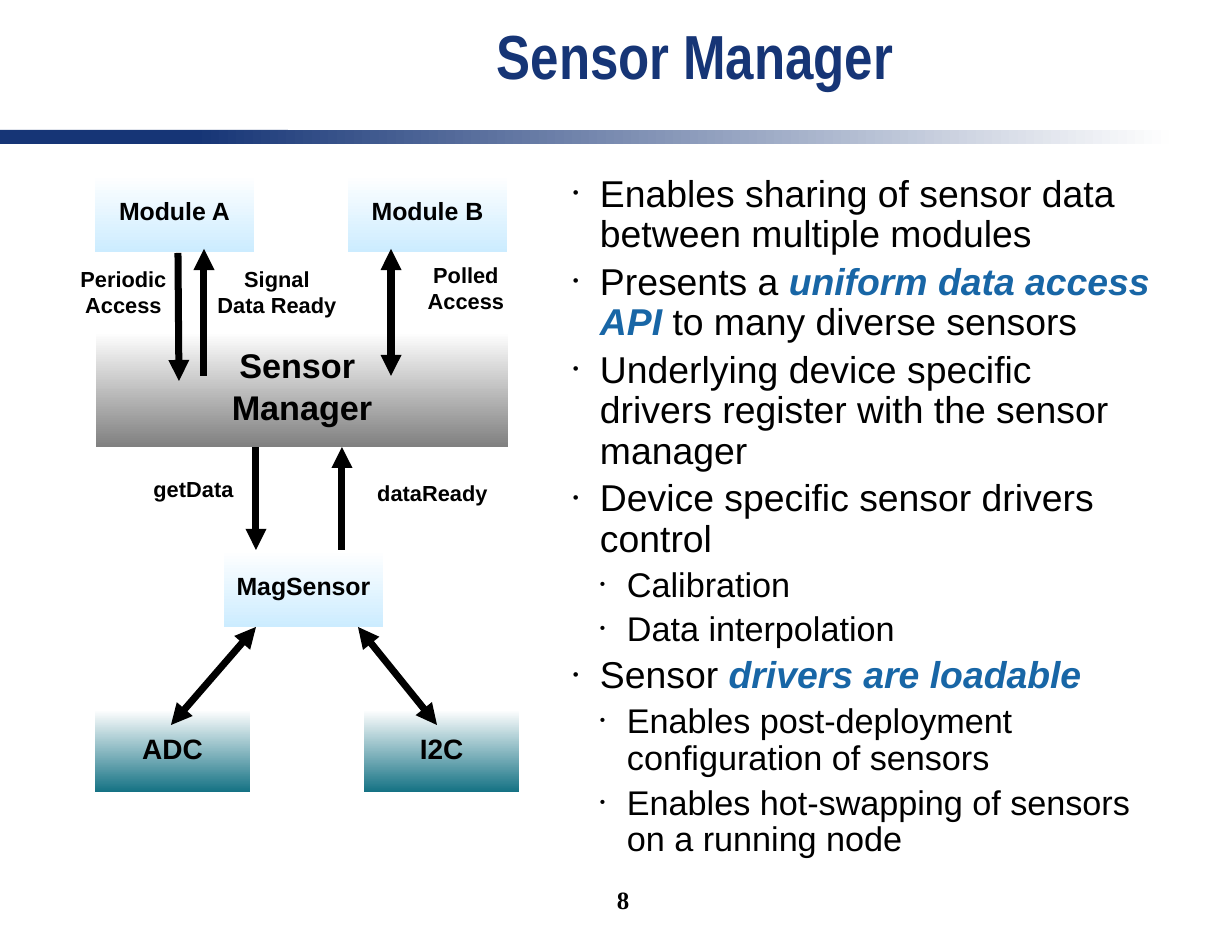
import pptx
import pptx.util
import pptx.dml.color
import pptx.enum.shapes
import pptx.enum.text
import pptx.oxml.ns
from lxml import etree

PX = 914400 // 112
NAVY, BLUE, BLACK, WHITE = "163576", "1866A6", "000000", "FFFFFF"
SKY, TEAL, GRAY = "CCECFF", "157284", "808080"

TITLE = "Sensor Manager"
PAGE_NUMBER = "8"
# (level, [(text, emphasised), ...])
BULLETS = [
    (0, [("Enables sharing of sensor data between multiple modules", False)]),
    (0, [("Presents a ", False), ("uniform data access API", True),
         (" to many diverse sensors", False)]),
    (0, [("Underlying device specific drivers register with the sensor manager", False)]),
    (0, [("Device specific sensor drivers control", False)]),
    (1, [("Calibration", False)]),
    (1, [("Data interpolation", False)]),
    (0, [("Sensor", False), (" drivers are loadable", True)]),
    (1, [("Enables post-deployment configuration of sensors", False)]),
    (1, [("Enables hot-swapping of sensors on a running node", False)]),
]
BULLET_SIZES = (24, 22)

# kind: (width, height, lower colour, text size)
BOX_KINDS = {
    "manager": (412, 115, GRAY, 22),
    "module": (159, 77, SKY, 16),
    "driver": (155, 82, TEAL, 18),
}
BOXES = [
    ("manager", 96, 332, ["Sensor ", "Manager"]),
    ("module", 95, 175, ["Module A"]),
    ("module", 348, 175, ["Module B"]),
    ("module", 224, 550, ["MagSensor"]),
    ("driver", 95, 710, ["ADC"]),
    ("driver", 364, 710, ["I2C"]),
]
LABELS = [
    ((69, 265, 109, 58), ["Periodic", "Access"]),
    ((206, 265, 142, 58), ["Signal", "Data Ready"]),
    ((416, 261, 100, 58), ["Polled", "Access"]),
    ((142, 475, 103, 32), ["getData"]),
    ((366, 479, 133, 32), ["dataReady"]),
]
# (start, end, head at start, head at end)
ARROWS = [
    ((178, 253), (179, 381), False, True),
    ((204, 249), (204, 376), True, False),
    ((391, 249), (391, 376), True, True),
    ((256, 447), (256, 550), False, True),
    ((342, 447), (342, 550), True, False),
    ((256, 627), (171, 725), True, True),
    ((358, 627), (437, 725), True, True),
]


def rgb(color):
    return pptx.dml.color.RGBColor.from_string(color)


def px(*lengths):
    return [n * PX for n in lengths]


def add_run(p, text, size, font="Arial", color=BLACK, bold=False, italic=False):
    r = p.add_run()
    r.text = text
    r.font.size = pptx.util.Pt(size)
    r.font.name = font
    r.font.color.rgb = rgb(color)
    r.font.bold = bold
    r.font.italic = italic


def write_centred(tf, lines, size, spacing=0.8, margins=(11, 6), **style):
    """Write centred paragraphs, with a quarter of the text size between them."""
    tf.auto_size = pptx.enum.text.MSO_AUTO_SIZE.NONE
    tf.vertical_anchor = pptx.enum.text.MSO_ANCHOR.MIDDLE
    tf.margin_left = tf.margin_right = margins[0] * PX
    tf.margin_top = tf.margin_bottom = margins[1] * PX
    for i, line in enumerate(lines):
        p = tf.add_paragraph() if i else tf.paragraphs[0]
        p.alignment = pptx.enum.text.PP_ALIGN.CENTER
        p.line_spacing = spacing
        p.space_before = pptx.util.Pt(size / 4 if i else 0)
        add_run(p, line, size, bold=True, **style)


def add_box(s, at):
    sp = s.shapes.add_shape(pptx.enum.shapes.MSO_SHAPE.RECTANGLE, *px(*at))
    sp.shadow.inherit = False
    sp.line.fill.background()
    return sp


def fill_gradient(sp, first, last, angle):
    sp.fill.gradient()
    sp.fill.gradient_angle = angle
    for stop, color in zip(sp.fill.gradient_stops, (first, last)):
        stop.color.rgb = rgb(color)


def add_child(parent, tag, **attributes):
    return etree.SubElement(parent, pptx.oxml.ns.qn(tag), **attributes)


def add_arrow(s, start, end, head, tail):
    line = s.shapes.add_connector(
        pptx.enum.shapes.MSO_CONNECTOR.STRAIGHT, *px(*start, *end))
    line.line.color.rgb = rgb(BLACK)
    line.line.width = pptx.util.Pt(4.5)
    ln = line.line.fill._xPr
    if head:
        add_child(ln, "a:headEnd", type="triangle")
    if tail:
        add_child(ln, "a:tailEnd", type="triangle")
    add_child(line._element.spPr, "a:effectLst")


def place(sp, *at):
    sp.left, sp.top, sp.width, sp.height = px(*at)


def write_bullets(tf):
    tf.auto_size = pptx.enum.text.MSO_AUTO_SIZE.NONE
    tf.margin_left = tf.margin_right = 11 * PX
    tf.margin_top = tf.margin_bottom = 6 * PX
    for i, (level, runs) in enumerate(BULLETS):
        p = tf.add_paragraph() if i else tf.paragraphs[0]
        p.level = level
        pPr = p._p.get_or_add_pPr()
        pPr.set("marL", str((53 + 27 * level) * PX))
        pPr.set("indent", str(-27 * PX))
        add_child(add_child(pPr, "a:buClr"), "a:srgbClr", val=BLACK)
        add_child(pPr, "a:buSzPct", val="45000")
        add_child(pPr, "a:buChar", char="•")
        p.line_spacing = 0.9
        p.space_before = pptx.util.Pt(4.8 if i else 0)
        for text, strong in runs:
            add_run(p, text, BULLET_SIZES[level], color=BLUE if strong else BLACK,
                    bold=strong, italic=strong)


def main():
    prs = pptx.Presentation()
    prs.slide_width, prs.slide_height = px(1232, 952)
    s = prs.slides.add_slide(prs.slide_layouts[1])
    title, body = s.placeholders

    place(title, 233, 9, 924, 110)
    write_centred(title.text_frame, [TITLE], 40, spacing=0.7, margins=(0, 0),
                  font="Arial Narrow", color=NAVY)
    place(body, 536, 169, 626, 739)
    write_bullets(body.text_frame)

    bar = add_box(s, (0, 130, 288, 14))
    bar.fill.solid()
    bar.fill.fore_color.rgb = rgb(NAVY)
    fill_gradient(add_box(s, (194, 130, 975, 14)), "FEFEFE", NAVY, 180)

    for kind, x, y, lines in BOXES:
        width, height, color, size = BOX_KINDS[kind]
        sp = add_box(s, (x, y, width, height))
        fill_gradient(sp, WHITE, color, 270)
        write_centred(sp.text_frame, lines, size)

    for at, lines in LABELS:
        tf = s.shapes.add_textbox(*px(*at)).text_frame
        write_centred(tf, lines, 14)
        tf.word_wrap = False

    for arrow in ARROWS:
        add_arrow(s, *arrow)

    number = s.shapes.add_textbox(*px(495, 868, 256, 64))
    write_centred(number.text_frame, [PAGE_NUMBER], 16, spacing=1.0,
                  font="Times New Roman")
    prs.save("out.pptx")


if __name__ == "__main__":
    main()
